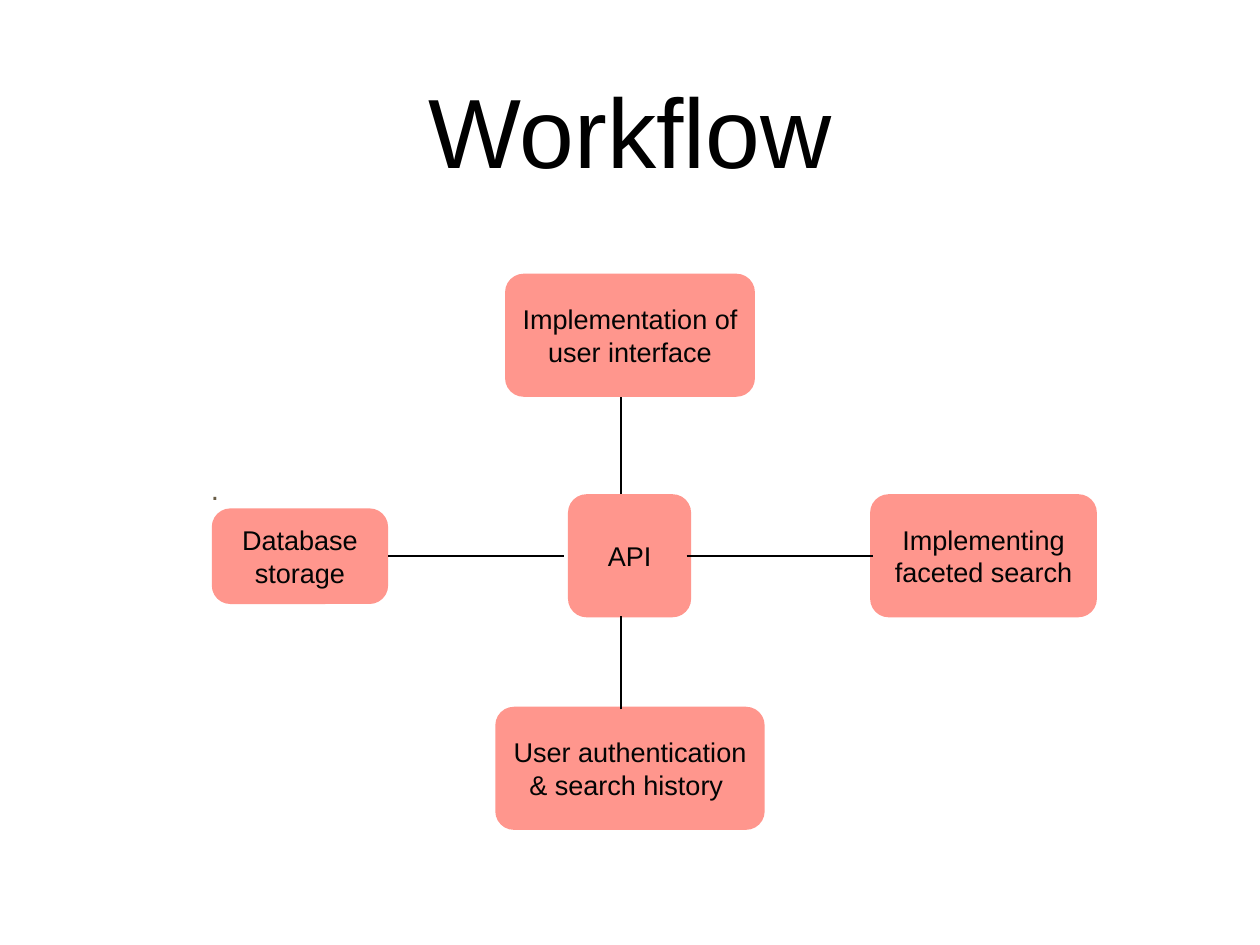
from lxml import etree
from pptx import Presentation
from pptx.dml.color import RGBColor
from pptx.enum.shapes import MSO_CONNECTOR, MSO_SHAPE
from pptx.enum.text import MSO_ANCHOR, PP_ALIGN
from pptx.oxml.ns import qn
from pptx.util import Pt

PX = 9144  # 100 px to the inch
FONT = "Arial"
BLACK = RGBColor(0x00, 0x00, 0x00)
INK = RGBColor(0x03, 0x04, 0x04)
BROWN = RGBColor(0x69, 0x5D, 0x46)
SALMON = RGBColor(0xFF, 0x96, 0x8D)
ROUNDED = MSO_SHAPE.ROUNDED_RECTANGLE
STRAIGHT = MSO_CONNECTOR.STRAIGHT
CENTER, LEFT = PP_ALIGN.CENTER, PP_ALIGN.LEFT
MIDDLE, TOP = MSO_ANCHOR.MIDDLE, MSO_ANCHOR.TOP


def px(*lengths):
    return [n * PX for n in lengths]


def write(sp, text, size, color, align=CENTER, anchor=MIDDLE):
    tf = sp.text_frame
    frame = {"word_wrap": True, "vertical_anchor": anchor}
    for side in ("left", "top", "right", "bottom"):
        frame[f"margin_{side}"] = 6 * PX
    for name, value in frame.items():
        setattr(tf, name, value)
    p = tf.paragraphs[0]
    p.alignment = align
    r = p.add_run()
    r.text = text
    for name, value in {"name": FONT, "size": Pt(size), "bold": False}.items():
        setattr(r.font, name, value)
    r.font.color.rgb = color
    return p


prs = Presentation()
prs.slide_width, prs.slide_height = px(1422, 1067)
s = prs.slides.add_slide(prs.slide_layouts[5])

# Title
title = s.shapes.title
title.left, title.top, title.width, title.height = px(104, 28, 1214, 236)
write(title, "Workflow", 80, BLACK)

# Small dot above the storage box, set low in its frame by a tall line
dot = s.shapes.add_textbox(*px(232, 360, 855, 314))
p = write(dot, ".", 24, BROWN, LEFT, TOP)
p.line_spacing = Pt(148)

# Boxes: text, left, top, width, height
boxes = [
    ("Database storage", 239, 574, 199, 108),
    ("Implementing faceted search", 982, 558, 256, 139),
    ("API", 641, 558, 139, 139),
    ("User authentication & search history ", 559, 798, 304, 139),
    ("Implementation of user interface", 570, 309, 282, 139),
]
CORNER = 21
for text, left, top, width, height in boxes:
    sp = s.shapes.add_shape(ROUNDED, *px(left, top, width, height))
    sp.adjustments[0] = CORNER / height
    sp.shadow.inherit = False
    sp.fill.solid()
    sp.fill.fore_color.rgb = SALMON
    sp.line.fill.background()
    write(sp, text, 22, INK)

# Lines from the API box: start x, y, end x, y
lines = [
    (438, 628, 637, 628),
    (701, 558, 701, 448),
    (701, 801, 701, 695),
    (775, 628, 985, 628),
]
for ends in lines:
    line = s.shapes.add_connector(STRAIGHT, *px(*ends))
    line.line.color.rgb = BLACK
    line.line.width = Pt(2)
    etree.SubElement(line._element.spPr, qn("a:effectLst"))

prs.save("out.pptx")
